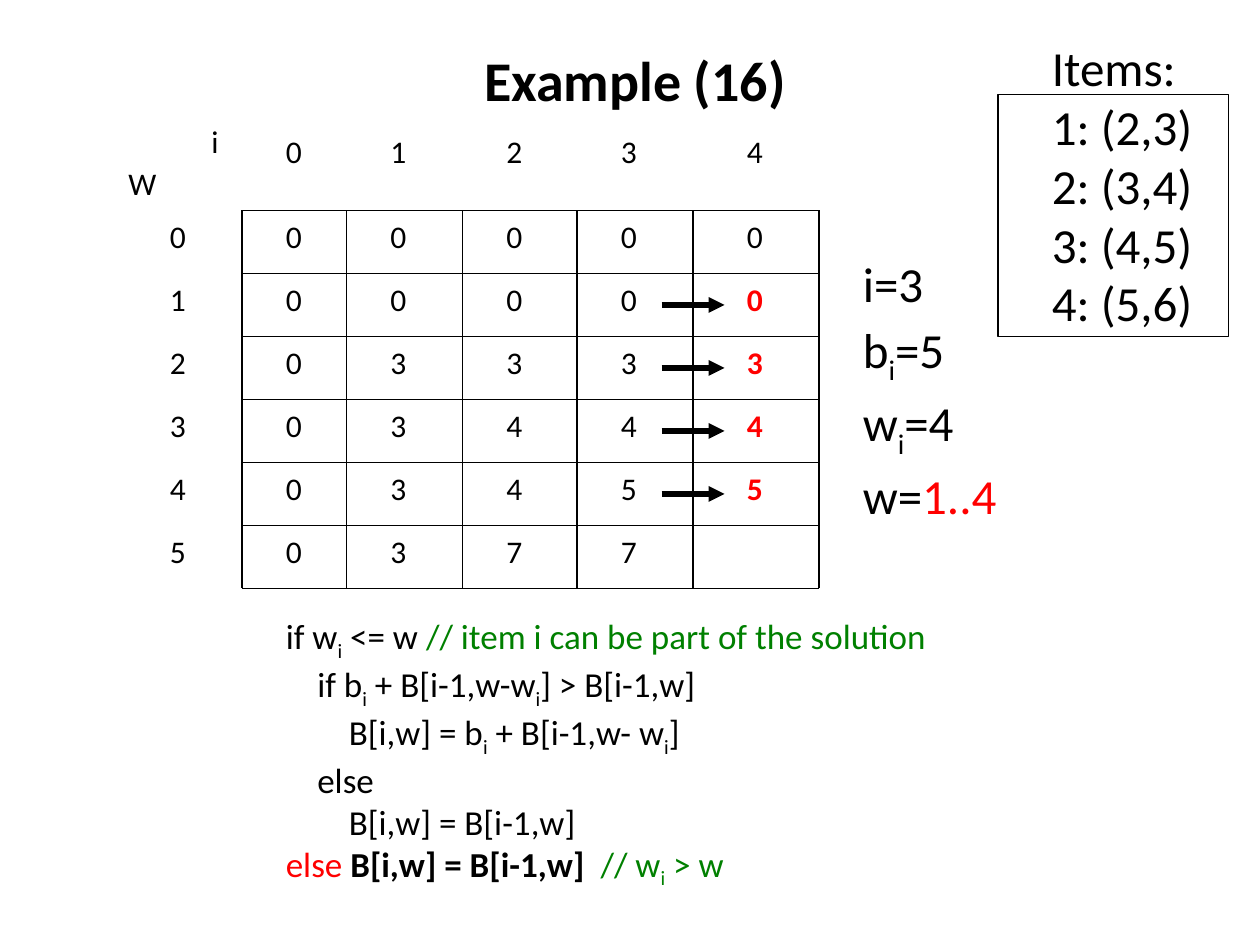
import pptx
import pptx.util
import pptx.dml.color
import pptx.enum.shapes
import pptx.enum.text
import pptx.oxml
import pptx.oxml.ns

Inches = pptx.util.Inches
ANCHOR = pptx.enum.text.MSO_ANCHOR
ALIGN = pptx.enum.text.PP_ALIGN

BLACK, RED, GREEN = "000000", "FF0000", "008000"

# Column heads, then each row with its label first
HEAD = " 01234"
ROWS = ["000000", "100000", "203333", "303444", "403455", "50377"]

# Text lefts, rule positions and row tops
LEFTS = [1.25, 2.17, 3, 3.92, 4.83, 5.83]
EDGES = [1.92, 2.75, 3.67, 4.58, 5.5, 6.5]
TOP, STEP = 1.67, 0.5
TOPS = [TOP + STEP * row for row in range(len(ROWS) + 1)]

# Each code line: indent level, then runs; "~" switches subscript on and off
CODE = [
    (1, [("if w~i~ <= w ", {}),
         ("// item i can be part of the solution", {"color": GREEN})]),
    (2, [("if b~i~ + B[i-1,w-w~i~] > B[i-1,w]", {})]),
    (3, [("B[i,w] = b~i~ + B[i-1,w- w~i~]", {})]),
    (2, [("else", {})]),
    (3, [("B[i,w] = B[i-1,w]", {})]),
    (1, [("else ", {"color": RED}), ("B[i,w] = B[i-1,w]  ", {"bold": True}),
         ("// w~i~ > w", {"color": GREEN})]),
]
STATE = ["i=3", "b~i~=5", "w~i~=4", (0, [("w=", {}), ("1..4", {"color": RED})])]
ITEMS = ["Items:", "1: (2,3)", "2: (3,4)", "3: (4,5)", "4: (5,6)"]


def rgb(color):
    return pptx.dml.color.RGBColor.from_string(color)


def write(para, text, size, color, bold):
    """Add text to a paragraph, with the parts between tildes lowered."""
    for pos, part in enumerate(text.split("~")):
        if not part:
            continue
        run = para.add_run()
        run.text = part
        run.font.name = "Calibri"
        run.font.size = pptx.util.Pt(size)
        run.font.bold = bold
        run.font.color.rgb = rgb(color)
        if pos % 2:
            run.font._element.set("baseline", "-25000")


def add_text(slide, box, lines, size=18, color=BLACK, bold=False, wrap=True,
             align=ALIGN.LEFT, anchor=ANCHOR.TOP, spacing=None):
    """Add a text box; each line is a string or (level, runs)."""
    frame = slide.shapes.add_textbox(*map(Inches, box)).text_frame
    frame.word_wrap = wrap
    frame.vertical_anchor = anchor
    base = {"size": size, "color": color, "bold": bold}
    for pos, line in enumerate(lines):
        level, runs = (0, [(line, {})]) if isinstance(line, str) else line
        para = frame.paragraphs[0] if pos == 0 else frame.add_paragraph()
        para.alignment = align
        para.line_spacing = spacing
        if level:
            props = para._p.get_or_add_pPr()
            props.set("marL", str(Inches(0.25 * level)))
            props.set("indent", "0")
        for text, style in runs:
            write(para, text, **{**base, **style})


def add_line(slide, start, end, width=0.75, arrow=False):
    line = slide.shapes.add_connector(
        pptx.enum.shapes.MSO_CONNECTOR.STRAIGHT, *map(Inches, start + end))
    line.line.color.rgb = rgb(BLACK)
    line.line.width = pptx.util.Pt(width)
    space = pptx.oxml.ns.nsdecls("a")
    if arrow:
        line.line._get_or_add_ln().append(
            pptx.oxml.parse_xml(f'<a:tailEnd {space} type="triangle"/>'))
    line._element.spPr.append(pptx.oxml.parse_xml(f"<a:effectLst {space}/>"))


def add_row(slide, y, values, fresh=False):
    """Add one row of numbers; a fresh row has its last column in red."""
    for col, (x, value) in enumerate(zip(LEFTS, values)):
        if value != " ":
            new = fresh and col == 5
            add_text(slide, (x, y, 0.37, 0.5), [value], wrap=False,
                     color=RED if new else BLACK, bold=new)


def add_grid(slide):
    """Add the rules of the grid and the numbers in and around it."""
    for x in EDGES:
        add_line(slide, (x, TOPS[0]), (x, TOPS[-1]))
    for y in TOPS:
        add_line(slide, (EDGES[0], y), (EDGES[-1], y))
    add_row(slide, 1, HEAD)
    for row, (y, values) in enumerate(zip(TOPS, ROWS)):
        add_row(slide, y, values, fresh=row > 0)


def add_frame(slide, box):
    frame = slide.shapes.add_shape(
        pptx.enum.shapes.MSO_SHAPE.RECTANGLE, *map(Inches, box))
    frame.shadow.inherit = False
    frame.fill.background()
    frame.line.color.rgb = rgb(BLACK)
    frame.line.width = pptx.util.Pt(0.75)


def main():
    deck = pptx.Presentation()
    deck.slide_width, deck.slide_height = Inches(10), Inches(7.5)
    slide = deck.slides.add_slide(deck.slide_layouts[6])

    # Title
    add_text(slide, (2.33, 0.33, 5.42, 0.67), ["Example (16)"], size=32,
             bold=True, align=ALIGN.CENTER, anchor=ANCHOR.MIDDLE, spacing=0.9)

    # Algorithm
    add_text(slide, (1.92, 4.83, 7.58, 2.1), CODE, size=20)

    # Value grid with its axis names
    add_grid(slide)
    add_text(slide, (0.92, 1.25, 0.52, 0.5), ["W"], wrap=False)
    add_text(slide, (1.58, 0.92, 0.29, 0.5), ["i"], wrap=False)

    # Arrows from column 3 to the values carried over
    for y in TOPS[1:5]:
        mid = y + STEP / 2
        add_line(slide, (5.25, mid), (5.75, mid), width=3, arrow=True)

    # Current state and item list
    add_text(slide, (6.75, 1.92, 1.58, 2.16), STATE, size=28, spacing=1.1)
    add_text(slide, (8.25, 0.25, 1.44, 2.44), ITEMS, size=28, wrap=False)
    add_frame(slide, (7.92, 0.75, 1.83, 1.92))

    deck.save("out.pptx")


if __name__ == "__main__":
    main()
